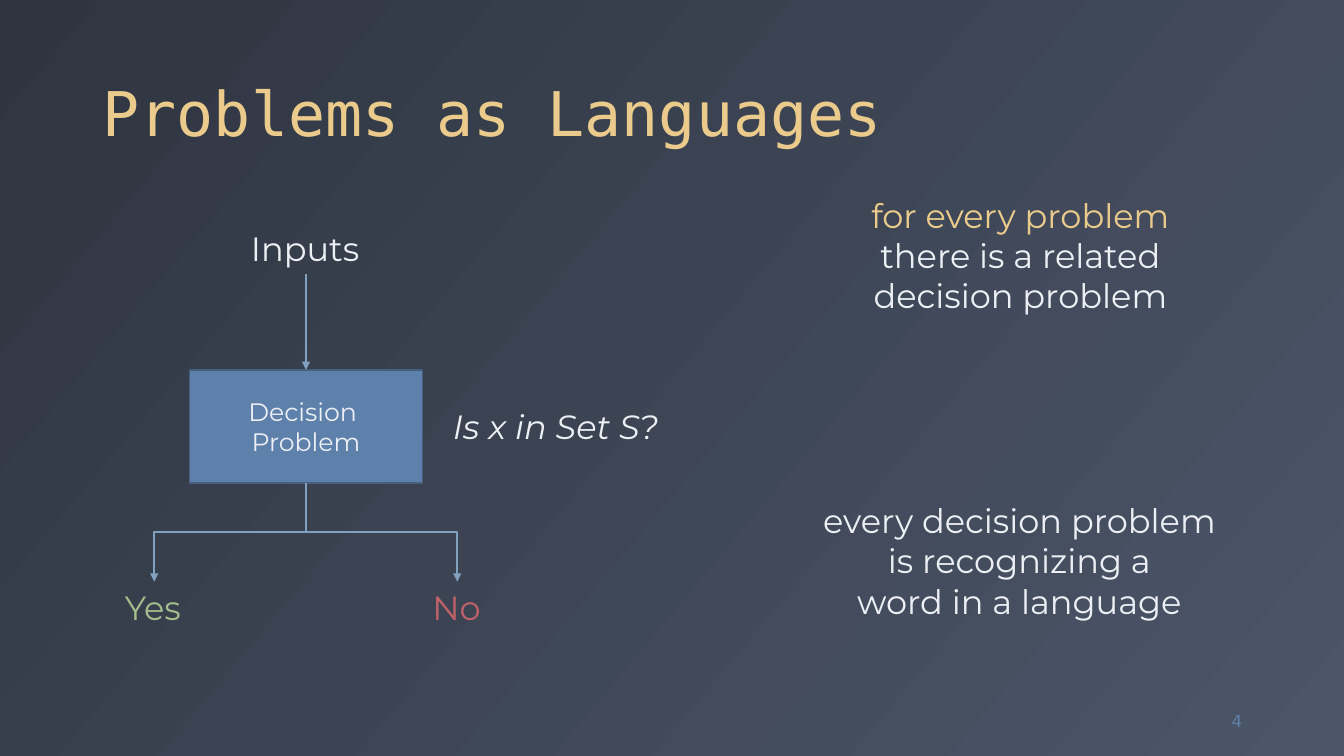
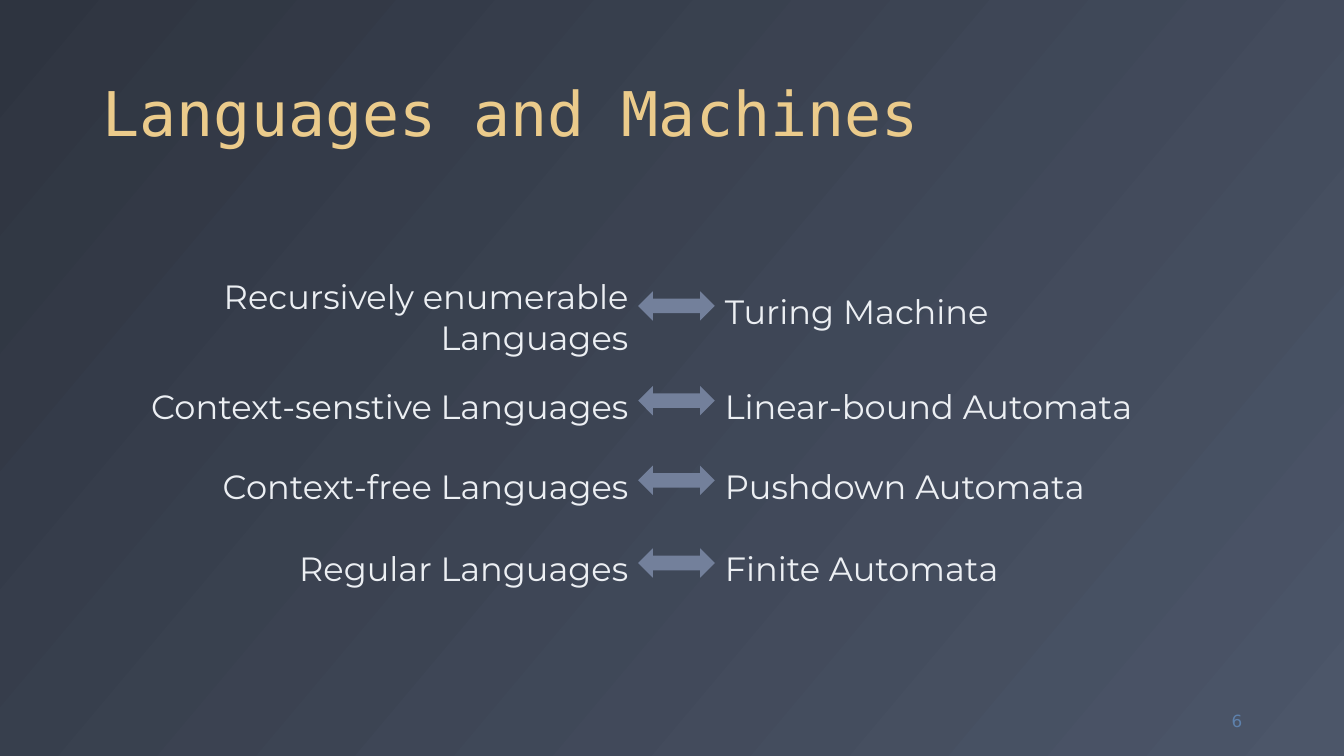
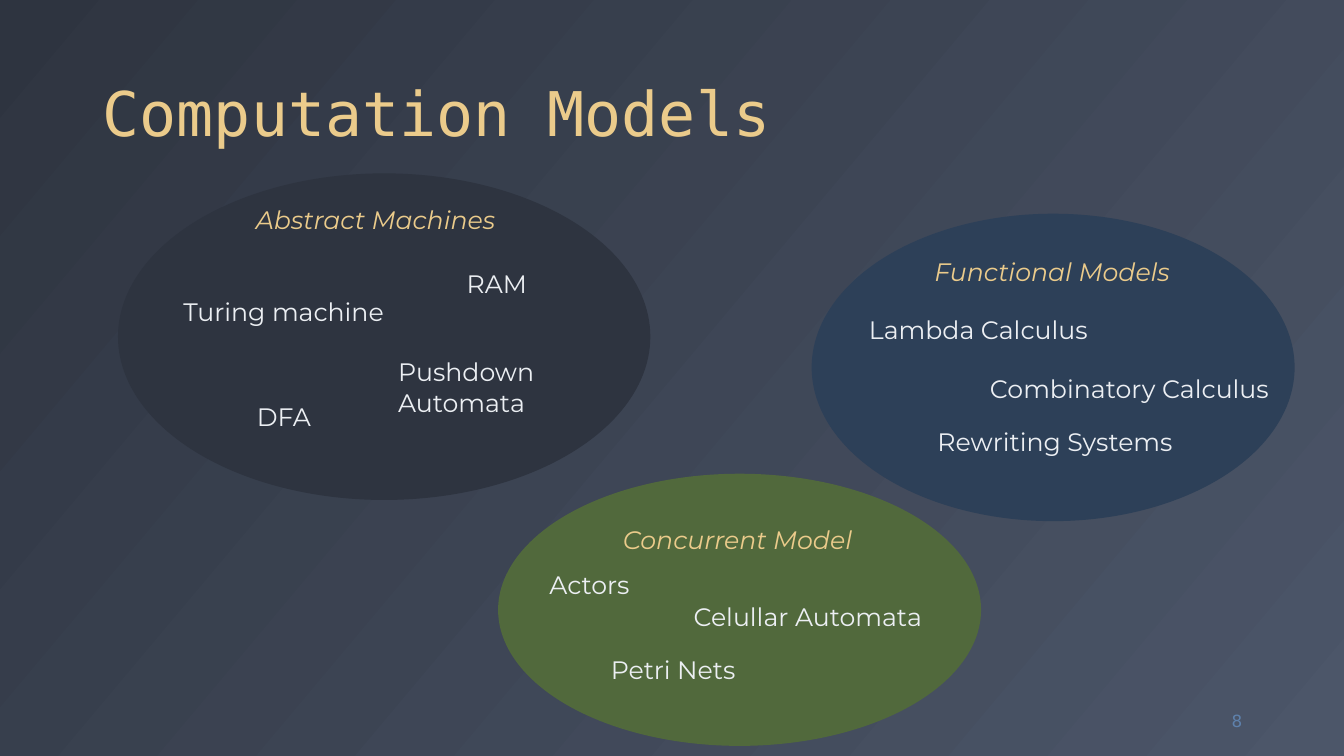
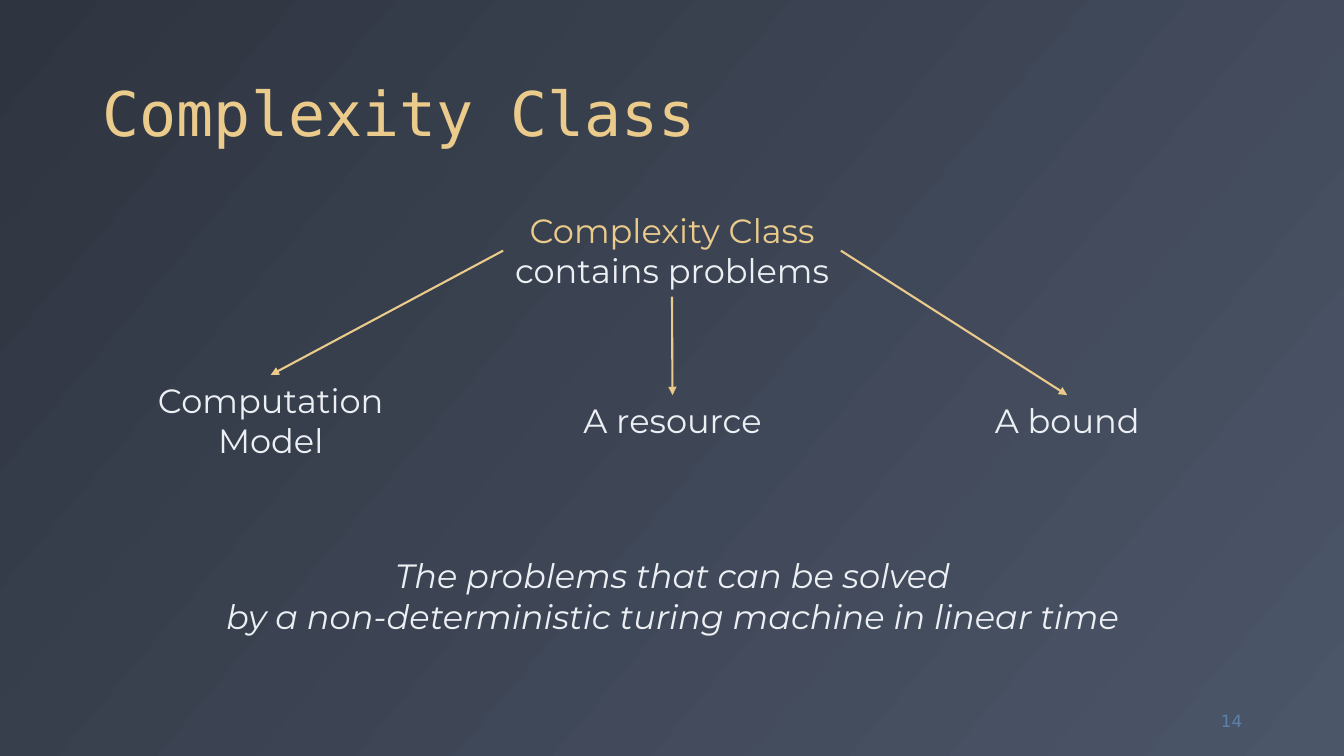
"""Four slides on decision problems, languages, machines and complexity."""
from lxml.etree import SubElement
from pptx import Presentation
from pptx.dml.color import RGBColor
from pptx.enum.shapes import MSO_CONNECTOR, MSO_SHAPE
from pptx.enum.text import MSO_ANCHOR, MSO_AUTO_SIZE, PP_ALIGN
from pptx.oxml.ns import qn
from pptx.util import Inches, Pt

NIGHT = RGBColor(0x2E, 0x34, 0x40)
SLATE = RGBColor(0x4C, 0x56, 0x69)
SNOW = RGBColor(0xEC, 0xEF, 0xF3)
GOLD = RGBColor(0xEB, 0xCB, 0x8B)
GREEN = RGBColor(0xA3, 0xBE, 0x8C)
RED = RGBColor(0xBF, 0x61, 0x69)
BLUE = RGBColor(0x5E, 0x81, 0xAC)
EDGE = RGBColor(0x46, 0x5F, 0x7F)
SKY = RGBColor(0x81, 0xA1, 0xC1)
STEEL = RGBColor(0x73, 0x80, 0x9B)
MOSS = RGBColor(0x51, 0x69, 0x3C)
NAVY = RGBColor(0x2D, 0x40, 0x58)

WIDE, HIGH = 13.33, 7.5
LEFT, MID, RIGHT = PP_ALIGN.LEFT, PP_ALIGN.CENTER, PP_ALIGN.RIGHT
BODY = {"name": "Montserrat", "size": Pt(24)}
SMALL = {**BODY, "size": Pt(18)}
SLANT = {**BODY, "italic": True}
LABEL = {**SMALL, "italic": True}
HEAD = {"name": "DejaVu Sans Mono", "size": Pt(44)}
FOOT = {"name": "DejaVu Sans", "size": Pt(12)}

TITLES = [("Problems as Languages", 4), ("Languages and Machines", 6),
          ("Computation Models", 8), ("Complexity Class", 14)]

FLOW = [
    ("Inputs", 2.39, 2.21, 1.29, LEFT, SNOW),
    ("Yes", 1.14, 5.77, 0.78, LEFT, GREEN),
    ("No", 4.19, 5.77, 0.69, LEFT, RED),
    ("for every problem\nthere is a related\ndecision problem",
     8.52, 1.88, 3.2, MID, SNOW, BODY, GOLD),
    ("every decision problem\nis recognizing a\nword in a language",
     8.04, 4.91, 4.14, MID, SNOW),
    ("Is x in Set S?", 4.36, 3.98, 2.3, MID, SNOW, SLANT),
]
BOX = (1.88, 3.67, 2.31, 1.12)

PAIRS = [
    (2.84, "Recursively enumerable\nLanguages", 4.28, "Turing Machine", 2.85),
    (3.78, "Context-senstive Languages", 5.01, "Linear-bound Automata", 4.3),
    (4.57, "Context-free Languages", 4.29, "Pushdown Automata", 3.82),
    (5.39, "Regular Languages", 3.5, "Finite Automata", 2.96),
]
GAP_L, GAP_R = 6.33, 7.09

MODELS = [
    (MOSS, (4.94, 4.7, 4.79, 2.7), ("Concurrent Model", 6.08, 5.15, 2.51),
     [("Actors", 5.35, 5.6, 1.01), ("Celullar Automata", 6.78, 5.92, 2.51),
      ("Petri Nets", 5.96, 6.44, 1.46)]),
    (NAVY, (8.05, 2.12, 4.79, 3.05), ("Functional Models", 9.17, 2.49, 2.56),
     [("Lambda Calculus", 8.52, 3.07, 2.4),
      ("Combinatory Calculus", 9.72, 3.65, 3.01),
      ("Rewriting Systems", 9.2, 4.18, 2.57)]),
    (NIGHT, (1.17, 1.72, 5.28, 3.24), ("Abstract Machines", 2.44, 1.98, 2.6),
     [("Turing machine", 1.72, 2.89, 2.22), ("RAM", 4.53, 2.61, 0.81),
      ("DFA", 2.45, 3.93, 0.75), ("Pushdown\nAutomata", 3.85, 3.49, 1.63)]),
]

ROOT = ("Complexity Class\ncontains problems", 4.99, 2.03, 3.35,
        MID, SNOW, BODY, GOLD)
PARTS = [("Computation\nModel", 1.45, 3.72, 2.47, 1),
         ("A resource", 5.67, 3.92, 2, 2),
         ("A bound", 9.76, 3.92, 1.65, 3)]
QUOTE = ("The problems that can be solved\v"
         "by a non-deterministic turing machine in linear time",
         2.09, 5.46, 9.16, MID, SNOW, SLANT)


def inch(*nums):
    return [Inches(num) for num in nums]


def write(frame, words, align, tint, font, first=None, space=None):
    for i, line in enumerate(words.split("\n")):
        para = frame.add_paragraph() if i else frame.paragraphs[0]
        para.text, para.alignment = line, align
        if space:
            para.line_spacing = space
        for run in para.runs:
            for key, val in font.items():
                setattr(run.font, key, val)
            run.font.color.rgb = first if first and not i else tint


def block(slide, box, words, align, tint, font, anchor, space=None):
    frame = slide.shapes.add_textbox(*inch(*box)).text_frame
    frame.word_wrap, frame.vertical_anchor = True, anchor
    write(frame, words, align, tint, font, space=space)


def label(slide, words, left, top, width, align=LEFT, tint=SNOW,
          font=BODY, first=None):
    lines = len(words.replace("\v", "\n").split("\n"))
    high = 0.1 + lines * font["size"].pt / 59
    box = slide.shapes.add_textbox(*inch(left, top, width, high))
    write(box.text_frame, words, align, tint, font, first)
    box.text_frame.word_wrap = False
    box.text_frame.auto_size = MSO_AUTO_SIZE.SHAPE_TO_FIT_TEXT
    return box


def solid(slide, kind, box, tint, edge=None):
    shape = slide.shapes.add_shape(kind, *inch(*box))
    shape.shadow.inherit = False
    shape.fill.solid()
    shape.fill.fore_color.rgb = tint
    if edge:
        shape.line.color.rgb, shape.line.width = edge, Pt(1)
    else:
        shape.line.fill.background()
    return shape


def arrow(slide, kind, tint, ends=(0, 0, 0, 0)):
    link = slide.shapes.add_connector(kind, *map(int, ends))
    link.line.color.rgb, link.line.width = tint, Pt(1.5)
    SubElement(link.line._get_or_add_ln(), qn("a:tailEnd"), type="triangle")
    SubElement(link._element.spPr, qn("a:effectLst"))
    return link


def join(slide, start, side, end, tint):
    link = arrow(slide, MSO_CONNECTOR.STRAIGHT, tint)
    link.begin_connect(start, side)
    link.end_connect(end, 0)


def branch(slide, start, end, tint):
    x, y = start.left + start.width / 2, start.top + start.height
    across, down = end.left + end.width / 2 - x, end.top - y
    mid_x, mid_y = x + across / 2, y + down / 2
    half = down / 2 if across > 0 else -down / 2
    rise = abs(across) / 2
    link = arrow(slide, MSO_CONNECTOR.ELBOW, tint,
                 (mid_x + half, mid_y - rise, mid_x - half, mid_y + rise))
    turn = 270 if across > 0 else 90
    link._element.spPr.find(qn("a:xfrm")).set("rot", str(turn * 60000))


def flow(slide):
    inputs, yes, no = [label(slide, *item) for item in FLOW][:3]
    box = solid(slide, MSO_SHAPE.RECTANGLE, BOX, BLUE, EDGE)
    box.text_frame.vertical_anchor = MSO_ANCHOR.MIDDLE
    write(box.text_frame, "Decision \nProblem", MID, SNOW, SMALL)
    join(slide, inputs, 2, box, SKY)
    for end in (yes, no):
        branch(slide, box, end, SKY)


def pairs(slide):
    for top, tongue, wide, device, span in PAIRS:
        lift = 0.15 * tongue.count("\n")
        label(slide, tongue, GAP_L - wide, top - lift, wide, RIGHT)
        label(slide, device, GAP_R, top, span)
        solid(slide, MSO_SHAPE.LEFT_RIGHT_ARROW,
              (GAP_L, top + 0.05, GAP_R - GAP_L, 0.29), STEEL)


def models(slide):
    for tint, oval, name, items in MODELS:
        solid(slide, MSO_SHAPE.OVAL, oval, tint)
        label(slide, *name, tint=GOLD, font=LABEL)
        for item in items:
            label(slide, *item, font=SMALL)


def classes(slide):
    root = label(slide, *ROOT)
    for *item, side in PARTS:
        join(slide, root, side, label(slide, *item, MID), GOLD)
    label(slide, *QUOTE)


def main():
    deck = Presentation()
    deck.slide_width, deck.slide_height = inch(WIDE, HIGH)
    fill = deck.slide_master.background.fill
    fill.gradient()
    fill.gradient_angle = 320
    for stop, tint in zip(fill.gradient_stops, (NIGHT, SLATE)):
        stop.color.rgb = tint
    for (title, page), draw in zip(TITLES, (flow, pairs, models, classes)):
        slide = deck.slides.add_slide(deck.slide_layouts[6])
        block(slide, (0.92, 0.18, 11.5, 1.36), title, LEFT, GOLD, HEAD,
              MSO_ANCHOR.BOTTOM, 0.9)
        draw(slide)
        block(slide, (11.59, 6.95, 0.83, 0.4), str(page), RIGHT, BLUE, FOOT,
              MSO_ANCHOR.MIDDLE)
    deck.save("out.pptx")


if __name__ == "__main__":
    main()
